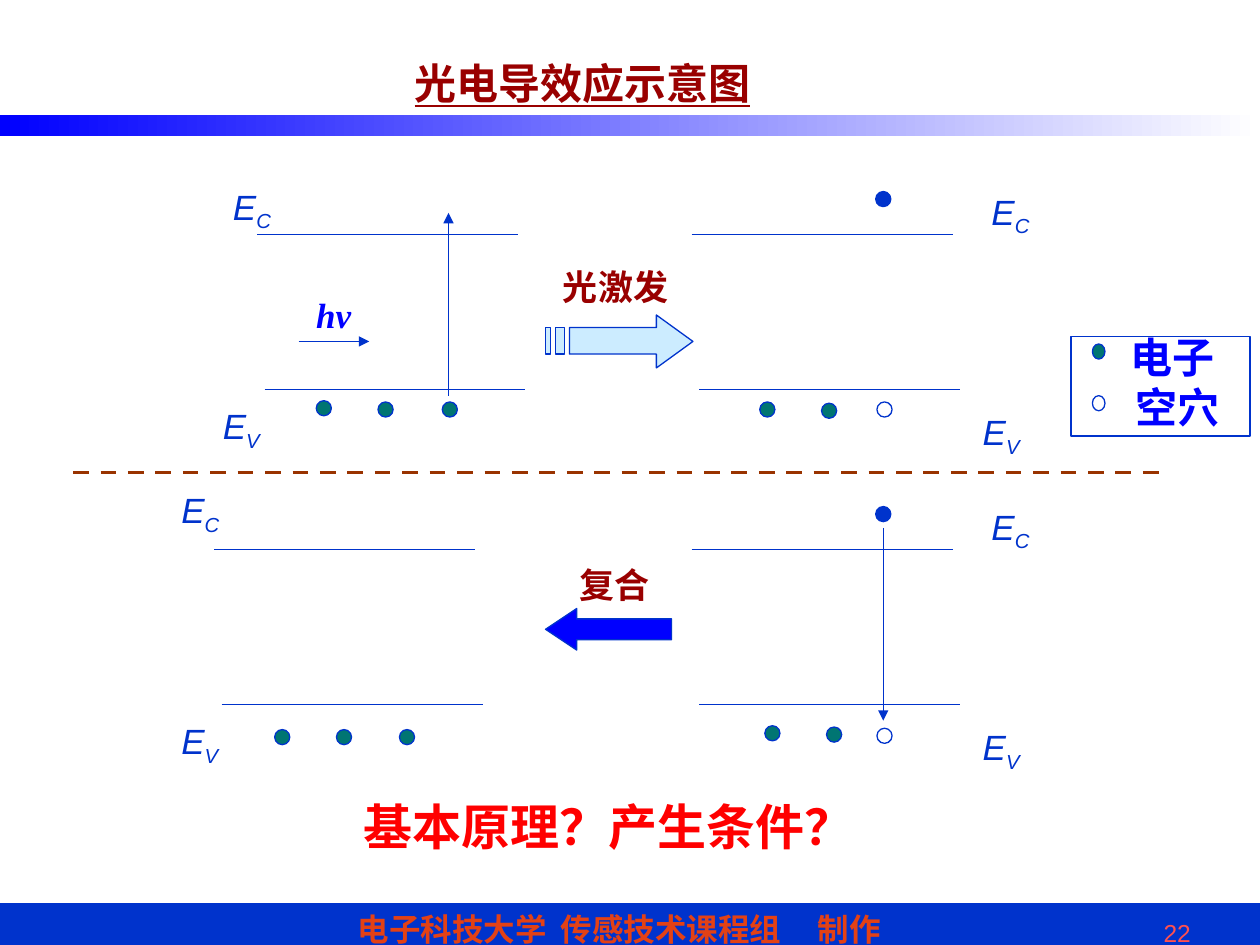
from pptx import Presentation
from pptx.dml.color import RGBColor
from pptx.enum.dml import MSO_LINE
from pptx.enum.shapes import MSO_CONNECTOR, MSO_SHAPE
from pptx.enum.text import MSO_ANCHOR, PP_ALIGN
from pptx.oxml.ns import qn
from pptx.util import Inches, Pt
from lxml.etree import SubElement

BLUE = RGBColor(0x00, 0x33, 0xCC)
BRIGHT = RGBColor(0x00, 0x00, 0xFF)
TEAL = RGBColor(0x00, 0x75, 0x72)
PALE = RGBColor(0xCC, 0xEC, 0xFF)
WHITE = RGBColor(0xFF, 0xFF, 0xFF)
BROWN = RGBColor(0x99, 0x33, 0x00)
DARK_RED = RGBColor(0x99, 0x00, 0x00)
RED = RGBColor(0xFF, 0x00, 0x00)
ORANGE = RGBColor(0xE3, 0x41, 0x15)
PINK = RGBColor(0xFF, 0x50, 0x50)

prs = Presentation()
prs.slide_width, prs.slide_height = Inches(10), Inches(7.5)
s = prs.slides.add_slide(prs.slide_layouts[5])


def add_shape(kind, x, y, w, h, fill=None):
    sp = s.shapes.add_shape(kind, Inches(x), Inches(y), Inches(w), Inches(h))
    sp.shadow.inherit = False
    if fill is None:
        sp.fill.background()
    else:
        sp.fill.solid()
        sp.fill.fore_color.rgb = fill
    sp.line.color.rgb = BLUE
    sp.line.width = Pt(0.75)
    return sp


def add_line(x1, y1, x2, y2, color=BLUE, width=0.75, arrow=False):
    ln = s.shapes.add_connector(MSO_CONNECTOR.STRAIGHT, Inches(x1), Inches(y1), Inches(x2), Inches(y2))
    ln.line.color.rgb = color
    ln.line.width = Pt(width)
    if arrow:
        SubElement(ln.line._get_or_add_ln(), qn("a:tailEnd"), type="triangle")
    SubElement(ln._element.spPr, qn("a:effectLst"))
    return ln


# Footer band, its three parts set on tab stops
footer = add_shape(MSO_SHAPE.RECTANGLE, 0, 7.17, 10, 0.4, BLUE)
tf = footer.text_frame
tf.margin_left = Inches(2.84)
tf.vertical_anchor = MSO_ANCHOR.MIDDLE
p = tf.paragraphs[0]
p.text = "电子科技大学\t传感技术课程组\t制作"
p.alignment = PP_ALIGN.LEFT
tabs = SubElement(p._p.get_or_add_pPr(), qn("a:tabLst"))
for stop in (1.61, 3.65):
    SubElement(tabs, qn("a:tab"), pos=str(Inches(stop)), algn="l")
p.font.size, p.font.name, p.font.bold = Pt(18), "Arial", True
p.font.color.rgb = ORANGE

# Gradient bar under the title
bar = add_shape(MSO_SHAPE.RECTANGLE, 0, 0.91, 10, 0.17)
bar.line.fill.background()
bar.fill.gradient()
bar.fill.gradient_angle = 0
for stop, color in zip(bar.fill.gradient_stops, (BRIGHT, WHITE)):
    stop.color.rgb = color

# Title
title = s.shapes.title
title.left, title.top, title.width, title.height = Inches(3.19), Inches(0.41), Inches(2.95), Inches(0.5)
tf = title.text_frame
tf.word_wrap = False
tf.vertical_anchor = MSO_ANCHOR.TOP
p = tf.paragraphs[0]
p.text = "光电导效应示意图"
p.alignment = PP_ALIGN.LEFT
p.font.size, p.font.name, p.font.bold, p.font.underline = Pt(24), "Times New Roman", True, True
p.font.color.rgb = DARK_RED

# Band edges: conduction line, with the valence line below it
for x, y in ((2.04, 1.86), (5.49, 1.86), (1.7, 4.36), (5.49, 4.36)):
    add_line(x, y, x + 2.07, y)
    add_line(x + 0.06, y + 1.23, x + 2.13, y + 1.23)

# Transitions, incoming photon and divider between the two processes
add_line(3.56, 3.14, 3.56, 1.69, arrow=True)
add_line(7.01, 4.19, 7.01, 5.72, arrow=True)
add_line(2.37, 2.71, 2.93, 2.71, arrow=True)
divider = add_line(0.58, 3.75, 9.25, 3.75, BROWN, 2.25)
divider.line.dash_style = MSO_LINE.DASH

# Carriers: bound electrons, free electrons, holes
carriers = (
    (TEAL, ((2.51, 3.18), (3, 3.19), (3.51, 3.19), (6.03, 3.19), (6.52, 3.2),
            (2.18, 5.79), (2.67, 5.79), (3.17, 5.79), (6.07, 5.76), (6.56, 5.77))),
    (BLUE, ((6.95, 1.52), (6.95, 4.02))),
    (None, ((6.96, 3.19), (6.96, 5.78))),
)
for fill, places in carriers:
    for x, y in places:
        add_shape(MSO_SHAPE.OVAL, x, y, 0.12, 0.12, fill)

# Energy level labels with subscripts
levels = (("C", 1.75, 1.42), ("V", 1.67, 3.16), ("C", 7.77, 1.46), ("V", 7.7, 3.21),
          ("C", 1.34, 3.83), ("V", 1.34, 5.66), ("C", 7.77, 3.96), ("V", 7.7, 5.71))
for sub, x, y in levels:
    tf = s.shapes.add_textbox(Inches(x), Inches(y), Inches(0.55), Inches(0.48)).text_frame
    tf.word_wrap = False
    p = tf.paragraphs[0]
    p.add_run().text = "E"
    r = p.add_run()
    r.text = sub
    r._r.get_or_add_rPr().set("baseline", "-25000")
    p.font.size, p.font.name, p.font.italic = Pt(20), "Arial", True
    p.font.color.rgb = BLUE

# Excitation arrow with two stripes
arrow_head = ((5.21, 2.5), (5.21, 2.6), (4.52, 2.6), (4.52, 2.81), (5.21, 2.81), (5.21, 2.92), (5.5, 2.71))
stripes = [((x1, 2.6), (x1, 2.81), (x2, 2.81), (x2, 2.6)) for x1, x2 in ((4.41, 4.48), (4.33, 4.37))]
fb = s.shapes.build_freeform(Inches(5.21), Inches(2.5))
for i, outline in enumerate((arrow_head, *stripes)):
    points = [(Inches(x), Inches(y)) for x, y in outline]
    if i:
        fb.move_to(*points[0])
    fb.add_line_segments(points[1:], close=True)
excitation = fb.convert_to_shape()
excitation.shadow.inherit = False
excitation.fill.solid()
excitation.fill.fore_color.rgb = PALE
excitation.line.color.rgb = BLUE
excitation.line.width = Pt(0.75)

# Recombination arrow
recombination = add_shape(MSO_SHAPE.LEFT_ARROW, 4.33, 4.83, 1, 0.33, BRIGHT)
recombination.adjustments[1] = 0.75

# Legend frame and markers
add_shape(MSO_SHAPE.RECTANGLE, 8.5, 2.67, 1.42, 0.79)
for y, fill in ((2.73, TEAL), (3.14, None)):
    add_shape(MSO_SHAPE.OVAL, 8.67, y, 0.1, 0.12, fill)

# Captions, legend names, closing question and page number
texts = (
    ("hν", 2.41, 2.28, 0.55, 0.44, 20, "Times New Roman", BRIGHT),
    ("光激发", 4.37, 2.06, 1.1, 0.44, 20, "Times New Roman", DARK_RED),
    ("复合", 4.5, 4.42, 0.82, 0.44, 20, "Times New Roman", DARK_RED),
    ("电子", 8.87, 2.58, 0.95, 0.5, 24, "Arial", BRIGHT),
    ("空穴", 8.91, 2.98, 0.95, 0.5, 24, "Arial", BRIGHT),
    ("基本原理？产生条件？", 2.79, 6.27, 4.2, 0.57, 28, "Arial", RED),
    ("22", 7.05, 7.24, 2.5, 0.26, 14, "Arial", PINK),
)
for text, x, y, w, h, size, font, color in texts:
    tf = s.shapes.add_textbox(Inches(x), Inches(y), Inches(w), Inches(h)).text_frame
    tf.word_wrap = text == "22"
    p = tf.paragraphs[0]
    p.text = text
    p.alignment = PP_ALIGN.RIGHT if text == "22" else PP_ALIGN.LEFT
    p.font.size, p.font.name = Pt(size), font
    p.font.bold, p.font.italic = text != "22", text == "hν"
    p.font.color.rgb = color

prs.save("out.pptx")
